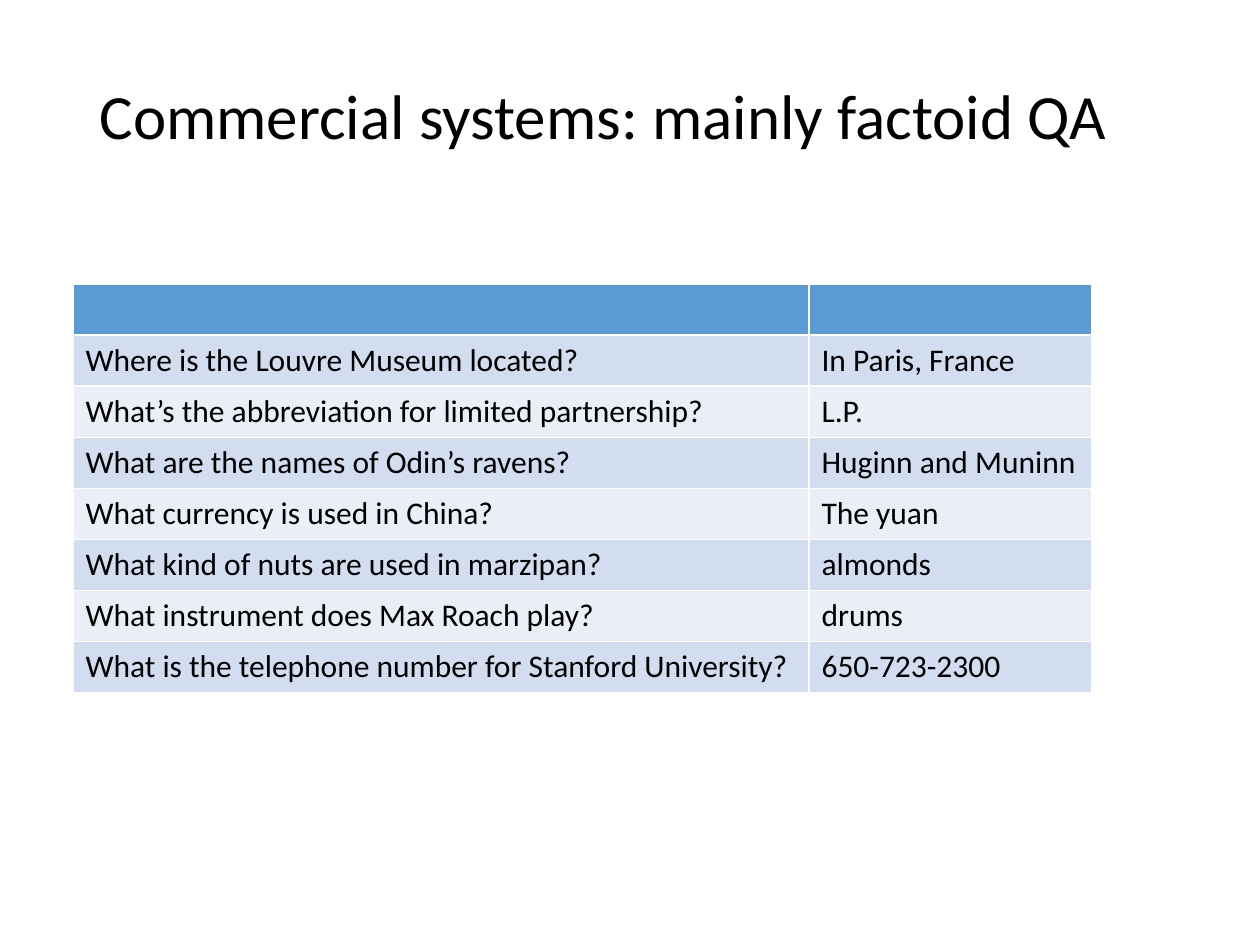
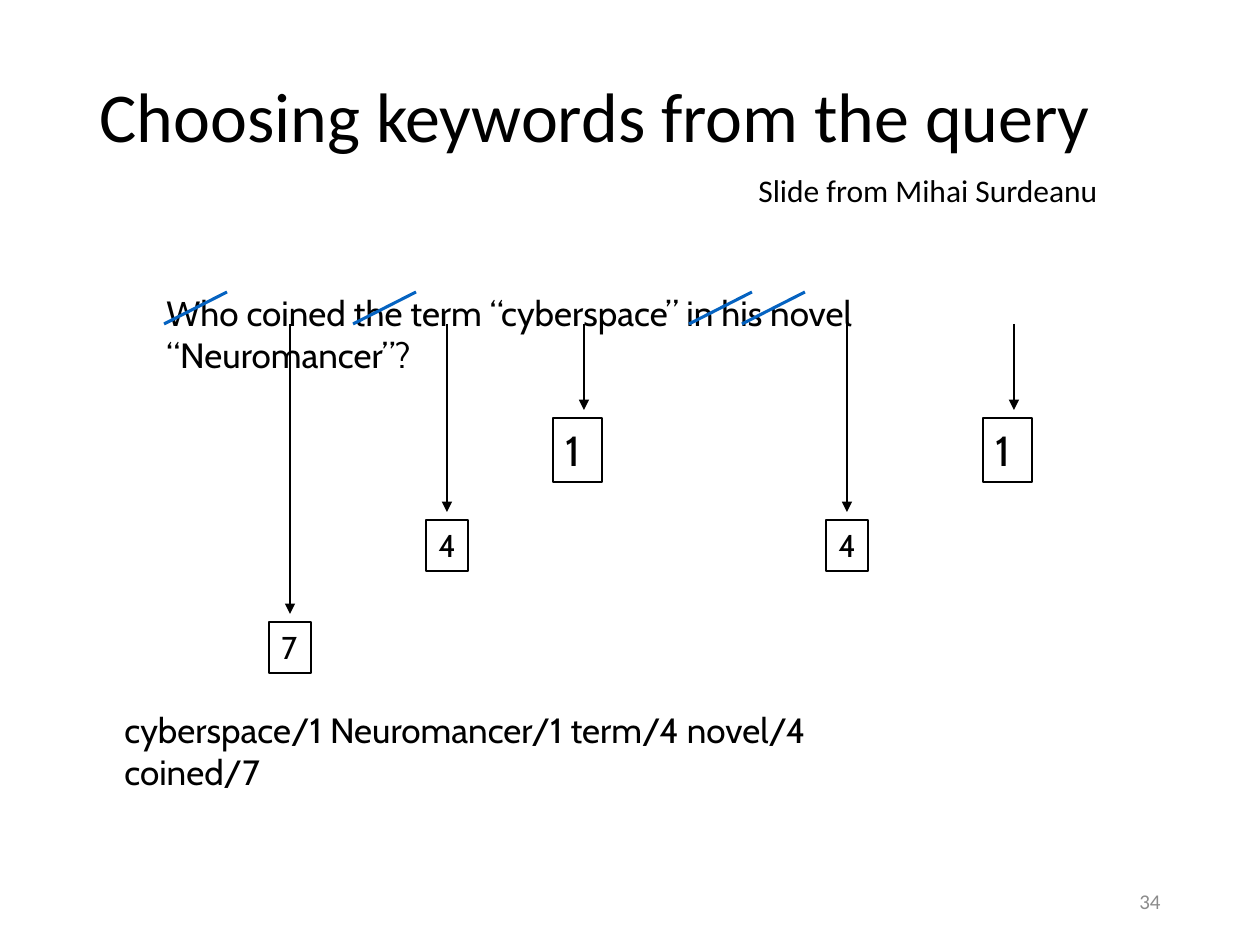
from lxml.etree import SubElement
from pptx import Presentation
from pptx.dml.color import RGBColor
from pptx.enum.shapes import MSO_CONNECTOR as CONN, MSO_SHAPE as SHAPE
from pptx.enum.text import MSO_ANCHOR as ANCHOR, PP_ALIGN as ALIGN
from pptx.oxml.ns import qn
from pptx.util import Emu, Pt

SCALE = 914400 / 126
BLACK, BLUE, GREY = "000000", "0563C1", "8C8C8C"
HEADER, BANDS = "5B9BD5", ("D2DEEF", "EAEFF7")
BODY, CABIN = "Calibri", "Cabin"

FACTOIDS = [
    ("Where is the Louvre Museum located?", "In Paris, France"),
    ("What’s the abbreviation for limited partnership?", "L.P."),
    ("What are the names of Odin’s ravens?", "Huginn and Muninn"),
    ("What currency is used in China?", "The yuan"),
    ("What kind of nuts are used in marzipan?", "almonds"),
    ("What instrument does Max Roach play?", "drums"),
    ("What is the telephone number for Stanford University?", "650-723-2300"),
]
COLUMN_WIDTHS = (736, 283)
ROW_HEIGHT = 51

WORD_Y = 324
STRIKE_LEFTS = (164, 353, 689, 742)
STRIKE_WIDTH, STRIKE_HEIGHT = 63, 32
LEVEL_TOP, LEVEL_STEP, ARROW_GAP = 418, 102, 8
LEVELS = [
    dict(rank="1", centers=(584, 1014), offset=31, width=49, height=64, size=24),
    dict(rank="4", centers=(447, 847), offset=21, width=42, height=51, size=18),
    dict(rank="7", centers=(290,), offset=21, width=42, height=51, size=18),
]


def px(*values):
    """Turn pixel lengths into EMU."""
    return [Emu(round(v * SCALE)) for v in values]


def rgb(color):
    """Turn a hex string into a colour."""
    return RGBColor.from_string(color)


def write(tf, text, size, font=BODY, color=BLACK, **formats):
    """Put one formatted paragraph into a text frame."""
    tf.word_wrap = True
    p = tf.paragraphs[0]
    for name, value in formats.items():
        setattr(p, name, value)
    r = p.add_run()
    r.text = text
    r.font.color.rgb = rgb(color)
    for name, value in dict(name=font, size=Pt(size)).items():
        setattr(r.font, name, value)


def add_titled_slide(prs, title, size):
    """Add a title-only slide with its heading."""
    s = prs.slides.add_slide(prs.slide_layouts[5])
    sp = s.shapes.title
    sp.left, sp.top, sp.width, sp.height = px(87, 50, 1086, 139)
    sp.text_frame.vertical_anchor = ANCHOR.MIDDLE
    write(sp.text_frame, title, size, alignment=ALIGN.LEFT, line_spacing=0.9)
    return s


def add_text(s, box, text, size, anchor=ANCHOR.TOP, **formats):
    """Add a text box."""
    tf = s.shapes.add_textbox(*px(*box)).text_frame
    tf.vertical_anchor = anchor
    write(tf, text, size, **formats)


def add_line(s, start, end, color, width, arrow=False):
    """Add a straight line, with an arrowhead at its end if wanted."""
    sp = s.shapes.add_connector(CONN.STRAIGHT, *px(*start, *end))
    sp.line.color.rgb = rgb(color)
    sp.line.width = Pt(width)
    if arrow:
        SubElement(sp.line._get_or_add_ln(), qn("a:tailEnd"), type="triangle")
    SubElement(sp._element.spPr, qn("a:effectLst"))


def add_rank_box(s, box, rank, size):
    """Add an outlined box that holds a keyword rank."""
    sp = s.shapes.add_shape(SHAPE.RECTANGLE, *px(*box))
    sp.shadow.inherit = False
    sp.fill.background()
    sp.line.color.rgb = rgb(BLACK)
    sp.line.width = Pt(0.75)
    sp.text_frame.vertical_anchor = ANCHOR.TOP
    write(sp.text_frame, rank, size, CABIN, alignment=ALIGN.LEFT)


def add_factoid_table(s, left, top):
    """Add the banded table of questions and answers."""
    rows = [("", "")] + FACTOIDS
    size = sum(COLUMN_WIDTHS), ROW_HEIGHT * len(rows)
    table = s.shapes.add_table(len(rows), 2, *px(left, top, *size)).table
    for column, width in zip(table.columns, px(*COLUMN_WIDTHS)):
        column.width = width
    for i, texts in enumerate(rows):
        table.rows[i].height = px(ROW_HEIGHT)[0]
        for cell, text in zip(table.rows[i].cells, texts):
            cell.fill.solid()
            cell.fill.fore_color.rgb = rgb(BANDS[(i - 1) % 2] if i else HEADER)
            if text:
                write(cell.text_frame, text, 18)


def build_factoid_slide(prs):
    """Build the slide on factoid questions."""
    s = add_titled_slide(prs, "Commercial systems: mainly factoid QA", 36)
    add_factoid_table(s, 73, 284)


def build_keyword_slide(prs):
    """Build the slide on ranking the words of a query."""
    s = add_titled_slide(prs, "Choosing keywords from the query", 40)
    add_text(s, (890, 876, 283, 50), "34", 12, ANCHOR.MIDDLE, color=GREY,
             alignment=ALIGN.RIGHT)
    add_text(s, (154, 285, 953, 55),
             "Who coined the term “cyberspace” in his novel “Neuromancer”?",
             20, font=CABIN)
    for x in STRIKE_LEFTS:
        add_line(s, (x, WORD_Y), (x + STRIKE_WIDTH, WORD_Y - STRIKE_HEIGHT),
                 BLUE, 1.75)
    for i, level in enumerate(LEVELS):
        top = LEVEL_TOP + i * LEVEL_STEP
        for x in level["centers"]:
            add_line(s, (x, WORD_Y), (x, top - ARROW_GAP), BLACK, 0.75, True)
            box = x - level["offset"], top, level["width"], level["height"]
            add_rank_box(s, box, level["rank"], level["size"])
    add_text(s, (112, 702, 819, 55),
             "cyberspace/1 Neuromancer/1 term/4 novel/4 coined/7",
             20, font=CABIN)
    add_text(s, (746, 165, 375, 50), "Slide from Mihai Surdeanu", 18)


def main():
    """Build both slides and save them."""
    prs = Presentation()
    prs.slide_width, prs.slide_height = px(1260, 945)
    build_factoid_slide(prs)
    build_keyword_slide(prs)
    prs.save("out.pptx")


if __name__ == "__main__":
    main()
